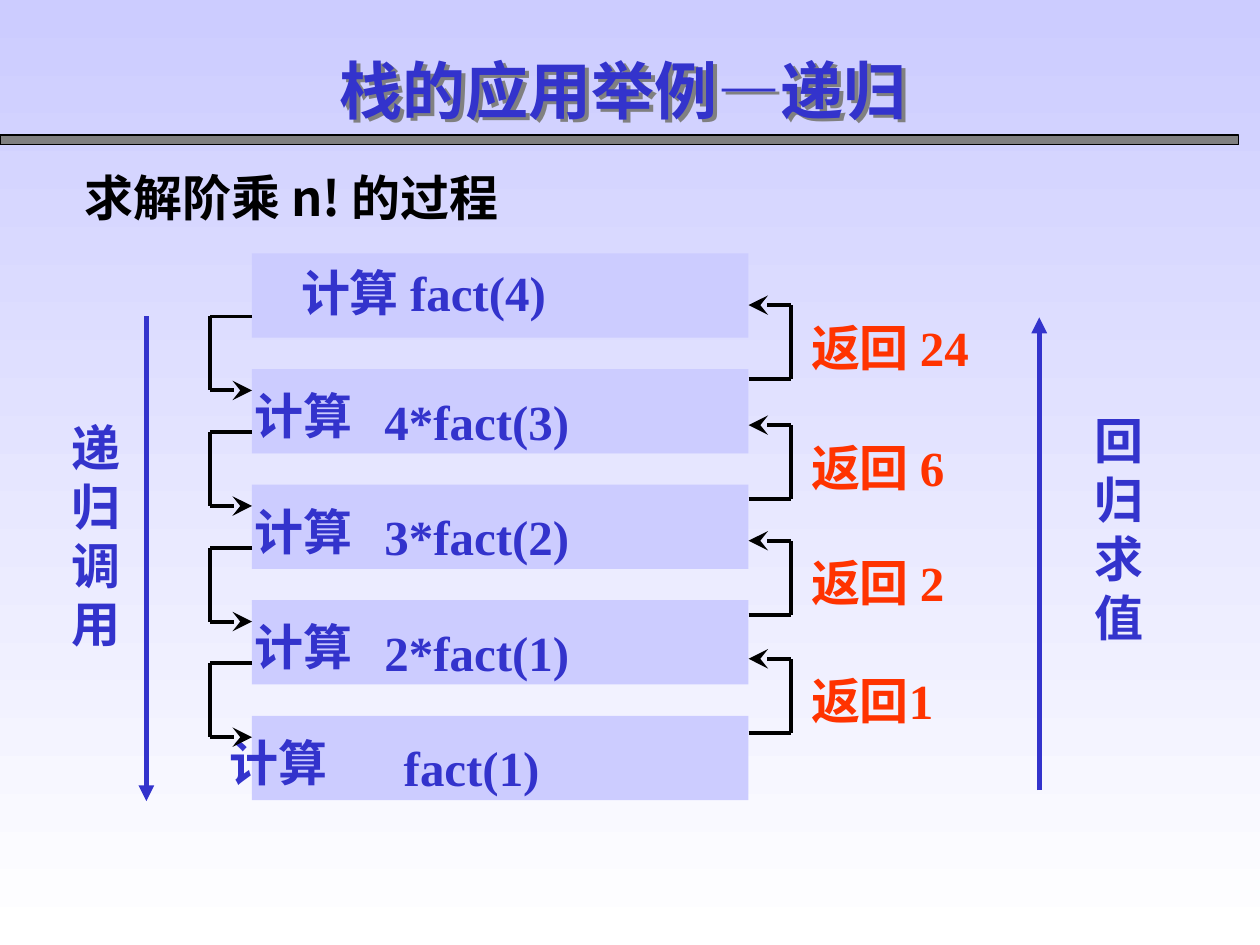
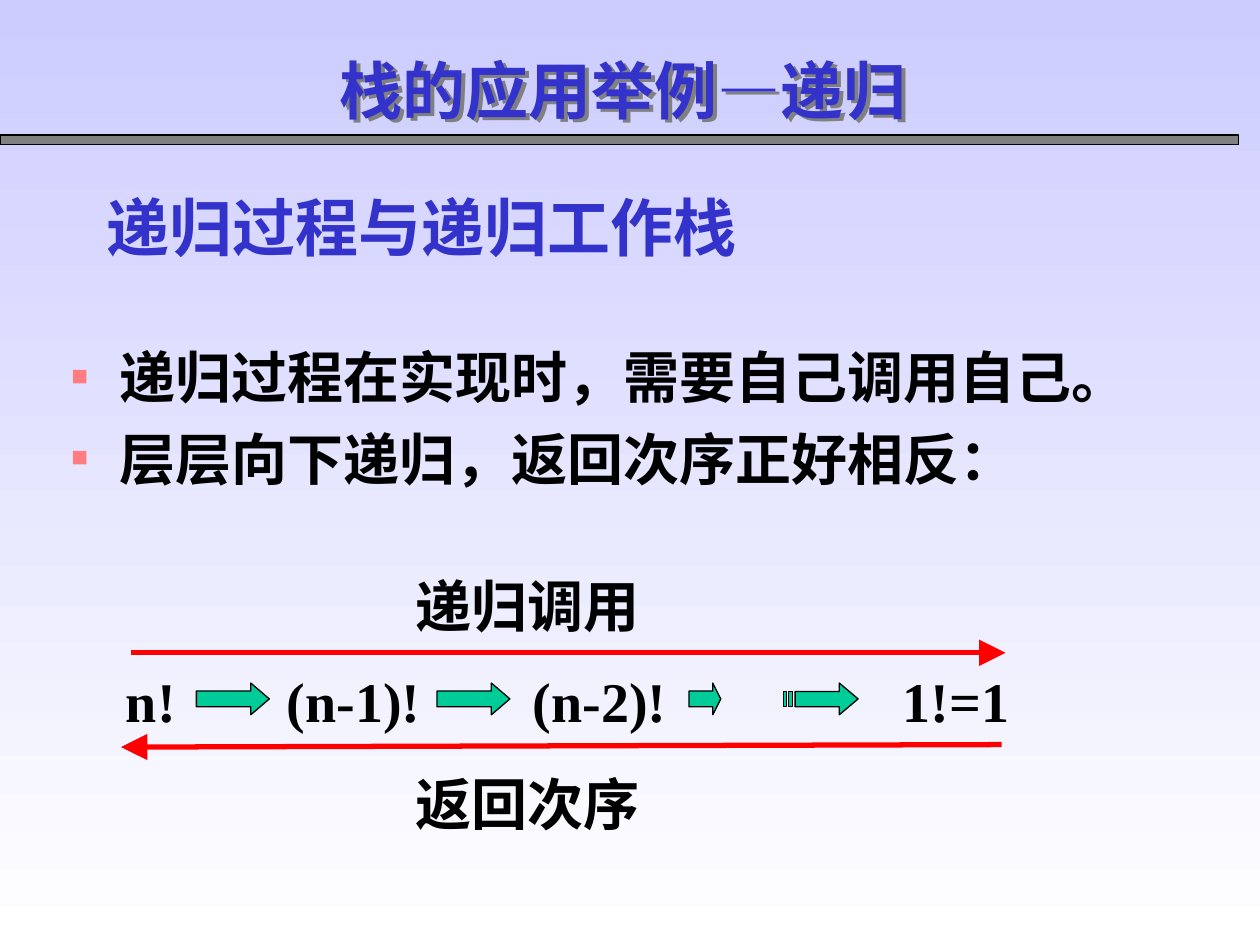
"""Build two slides on recursion as an application of the stack."""
from lxml import etree
from pptx import Presentation
from pptx import util as u
from pptx.dml.color import RGBColor
from pptx.enum import shapes, text
from pptx.oxml import ns

BLUE, BLACK, RED, ORANGE = "3333CC", "000000", "FF0000", "FF3300"
LAVENDER, WHITE, GREY, GREEN, PINK = "CCCCFF", "FFFFFF", "808080", "00CC99", "FF7C80"
SERIF, SANS = "Times New Roman", "Noto Sans CJK SC"
LINE_HEIGHT = 1.204

TITLE = "栈的应用举例—递归"
HEADING = "求解阶乘 n! 的过程"
FIRST_CALL = ("计算 fact(4)", 5.82, 5.16)
CALL_WORD = "计算"
NEXT_CALLS = [
    ("4*fact(3)", 4.88, 7.5),
    ("3*fact(2)", 4.88, 7.5),
    ("2*fact(1)", 4.88, 7.5),
    ("fact(1)", 4.37, 7.89),
]
NEXT_CALL_TOP, LATIN_DROP = 7.65, 0.11
RETURNS = [("返回 24", 6.15), ("返回 6", 8.57), ("返回 2", 10.9), ("返回1", 13.28)]
SIDE_LABELS = [("递归调用", 1.19, 8.28), ("回归求值", 21.82, 8.15)]
SIDE_ARROWS = [((2.95, 6.38), (2.95, 16.15)), ((20.95, 15.93), (20.95, 6.4))]
BAR_LEFT, BAR_TOP, BAR_WIDTH, BAR_HEIGHT, BAR_STEP = 5.08, 5.11, 10.01, 1.7, 2.33
BRACKET_WIDTH, BRACKET_HEIGHT, BRACKET_TOP = 0.85, 1.49, 6.38

SUBTITLE = "递归过程与递归工作栈"
BULLETS = ["递归过程在实现时，需要自己调用自己。", "层层向下递归，返回次序正好相反："]
CHAIN_LABELS = [
    ("递归调用", 8.12, 11.4),
    ("n!", 2.29, 13.3),
    ("(n-1)!", 5.53, 13.3),
    ("(n-2)!", 10.49, 13.3),
    ("1!=1", 17.95, 13.3),
    ("返回次序", 8.12, 15.38),
]
CHAIN_TOP, CHAIN_HEIGHT = 13.77, 0.64
CHAIN_ARROWS = [(3.96, 1.47, 0.583), (8.81, 1.47, 0.583), (13.89, 0.64, 0.25)]
STRIPED_ARROW = [
    [(16.03, 13.94), (16.92, 13.94), (16.92, 13.77), (17.3, 14.09),
     (16.92, 14.41), (16.92, 14.25), (16.03, 14.25)],
    [(15.8, 13.94), (15.85, 13.94), (15.85, 14.25), (15.8, 14.25)],
    [(15.9, 13.94), (15.98, 13.94), (15.98, 14.25), (15.9, 14.25)],
]
ORDER_ARROWS = [((2.64, 13.16), (20.27, 13.16)), ((20.19, 15.01), (2.44, 15.06))]


def color(value):
    """Turn a hex string into a colour."""
    return RGBColor.from_string(value)


def assign(target, values):
    """Set attributes from a dict."""
    for name, value in values.items():
        setattr(target, name, value)


def element(parent, tag, **attributes):
    """Append a drawing element."""
    child = etree.SubElement(parent, ns.qn("a:" + tag))
    for name, value in attributes.items():
        child.set(name, str(value))
    return child


def add_bullet(para):
    """Give a paragraph a small square bullet and a hanging indent."""
    properties = para._p.get_or_add_pPr()
    properties.set("marL", str(u.Cm(0.97)))
    properties.set("indent", str(u.Cm(-0.97)))
    element(element(properties, "buClr"), "srgbClr", val=PINK)
    element(properties, "buSzPct", val=30000)
    element(properties, "buFont", typeface=SANS)
    element(properties, "buChar", char="■")


def add_span(para, words, size, fill, font=SERIF):
    """Add a bold run."""
    span = para.add_run()
    span.text = words
    assign(span.font, {"size": u.Pt(size), "bold": True, "name": font})
    span.font.color.rgb = color(fill)
    element(span._r.get_or_add_rPr(), "ea", typeface=SANS)


def add_box(page, place, **frame_values):
    """Add an empty wrapping text box."""
    box = page.shapes.add_textbox(*map(u.Cm, place))
    assign(box.text_frame, {"word_wrap": True, **frame_values})
    return box


def add_label(page, words, place, size, fill, font=SERIF, line=None, **frame_values):
    """Add a text box with one paragraph."""
    box = add_box(page, place, **frame_values)
    para = box.text_frame.paragraphs[0]
    if line:
        para.line_spacing = u.Pt(line)
    add_span(para, words, size, fill, font)
    return box


def paint(shape, fill, outline=None):
    """Set fill and outline and drop the shadow."""
    shape.shadow.inherit = False
    shape.fill.solid()
    shape.fill.fore_color.rgb = color(fill)
    if outline:
        shape.line.color.rgb = color(outline)
        shape.line.width = u.Pt(0.75)
    else:
        shape.line.fill.background()


def add_shape(page, kind, place, fill, outline=None):
    """Add a preset shape."""
    shape = page.shapes.add_shape(kind, *map(u.Cm, place))
    paint(shape, fill, outline)
    return shape


def add_line(page, start, end, stroke, width, arrow=None, size="med"):
    """Add a straight line, with an arrowhead at its end if asked."""
    line = page.shapes.add_connector(
        shapes.MSO_CONNECTOR.STRAIGHT, *map(u.Cm, (*start, *end)))
    line.line.color.rgb = color(stroke)
    line.line.width = u.Pt(width)
    if arrow:
        element(line.line._get_or_add_ln(), "tailEnd", type=arrow, w=size, len=size)
    element(line._element.spPr, "effectLst")


def add_bracket(page, edge, outer, start, end):
    """Draw a three-sided bracket with an arrowhead at its end."""
    points = [(edge, start), (outer, start), (outer, end), (edge, end)]
    for number, pair in enumerate(zip(points, points[1:])):
        add_line(page, *pair, BLACK, 2.25, "stealth" if number == 2 else None, "lg")


def add_page(deck):
    """Add a page with the shared background, band and title."""
    page = deck.slides.add_slide(deck.slide_layouts[6])
    fill = page.background.fill
    fill.gradient()
    fill.gradient_angle = 270
    for stop, value, position in zip(fill.gradient_stops, (LAVENDER, WHITE), (0, 1)):
        stop.color.rgb = color(value)
        stop.position = position
    add_shape(page, shapes.MSO_SHAPE.RECTANGLE, (0, 2.72, 24.97, 0.2), GREY, BLACK)
    title = add_label(page, TITLE, (6.6, 0.91, 13.36, 1.78), 36, BLUE)
    effects = element(title._element.spPr, "effectLst")
    shadow = element(effects, "outerShdw", dist=35921, dir=2700000, algn="ctr")
    element(shadow, "srgbClr", val=GREY)
    return page


def build_process(deck):
    """Show the calls and returns of a factorial."""
    page = add_page(deck)
    add_label(page, HEADING, (1.7, 3.18, 13.54, 1.6), 28, BLACK, SANS,
              margin_left=0, margin_right=0, vertical_anchor=text.MSO_ANCHOR.MIDDLE)
    for number in range(len(NEXT_CALLS) + 1):
        place = BAR_LEFT, BAR_TOP + number * BAR_STEP, BAR_WIDTH, BAR_HEIGHT
        add_shape(page, shapes.MSO_SHAPE.RECTANGLE, place, LAVENDER)
    words, left, top = FIRST_CALL
    add_label(page, words, (left, top, 6.5, 1.45), 28, BLUE)
    for number, (words, word_left, left) in enumerate(NEXT_CALLS):
        top = NEXT_CALL_TOP + number * BAR_STEP
        add_label(page, CALL_WORD, (word_left, top, 2.6, 1.45), 28, BLUE)
        add_label(page, words, (left, top + LATIN_DROP, 4.8, 1.45), 28, BLUE)
        start = BRACKET_TOP + number * BAR_STEP
        add_bracket(page, BAR_LEFT, BAR_LEFT - BRACKET_WIDTH, start, start + BRACKET_HEIGHT)
    edge = BAR_LEFT + BAR_WIDTH
    outer = edge + BRACKET_WIDTH
    for words, top in RETURNS:
        add_bracket(page, edge, outer, top + BRACKET_HEIGHT, top)
        add_label(page, words, (outer + 0.16, top + 0.12, 4.2, 1.45), 28, ORANGE)
    for words, left, top in SIDE_LABELS:
        add_label(page, words, (left, top, 1.73, 5), 28, BLUE, line=28 * LINE_HEIGHT)
    for start, end in SIDE_ARROWS:
        add_line(page, start, end, BLUE, 3, "triangle")


def build_work_stack(deck):
    """Show the order of recursive calls and returns."""
    page = add_page(deck)
    add_label(page, SUBTITLE, (1.9, 3.61, 16.94, 1.9), 36, BLUE,
              vertical_anchor=text.MSO_ANCHOR.MIDDLE)
    frame = add_box(page, (1.19, 6.78, 22.02, 3.6)).text_frame
    for number, words in enumerate(BULLETS):
        para = frame.add_paragraph() if number else frame.paragraphs[0]
        add_bullet(para)
        assign(para, {"line_spacing": u.Pt(32 * LINE_HEIGHT),
                      "space_before": u.Pt(8 if number else 0)})
        add_span(para, words, 32, BLACK)
    for words, left, top in CHAIN_LABELS:
        add_label(page, words, (left, top, 5.2, 1.62), 32, BLACK, line=32 * LINE_HEIGHT)
    for left, width, head in CHAIN_ARROWS:
        place = left, CHAIN_TOP, width, CHAIN_HEIGHT
        arrow = add_shape(page, shapes.MSO_SHAPE.RIGHT_ARROW, place, GREEN, BLACK)
        arrow.adjustments[1] = head
    outlines = [[(u.Cm(x), u.Cm(y)) for x, y in outline] for outline in STRIPED_ARROW]
    builder = page.shapes.build_freeform(*outlines[0][0])
    for number, outline in enumerate(outlines):
        if number:
            builder.move_to(*outline[0])
        builder.add_line_segments(outline[1:], close=True)
    paint(builder.convert_to_shape(), GREEN, BLACK)
    for start, end in ORDER_ARROWS:
        add_line(page, start, end, RED, 3, "triangle", "lg")


def main():
    """Build and save the deck."""
    deck = Presentation()
    assign(deck, {"slide_width": u.Cm(25.4), "slide_height": u.Cm(19.05)})
    build_process(deck)
    build_work_stack(deck)
    deck.save("out.pptx")


if __name__ == "__main__":
    main()
